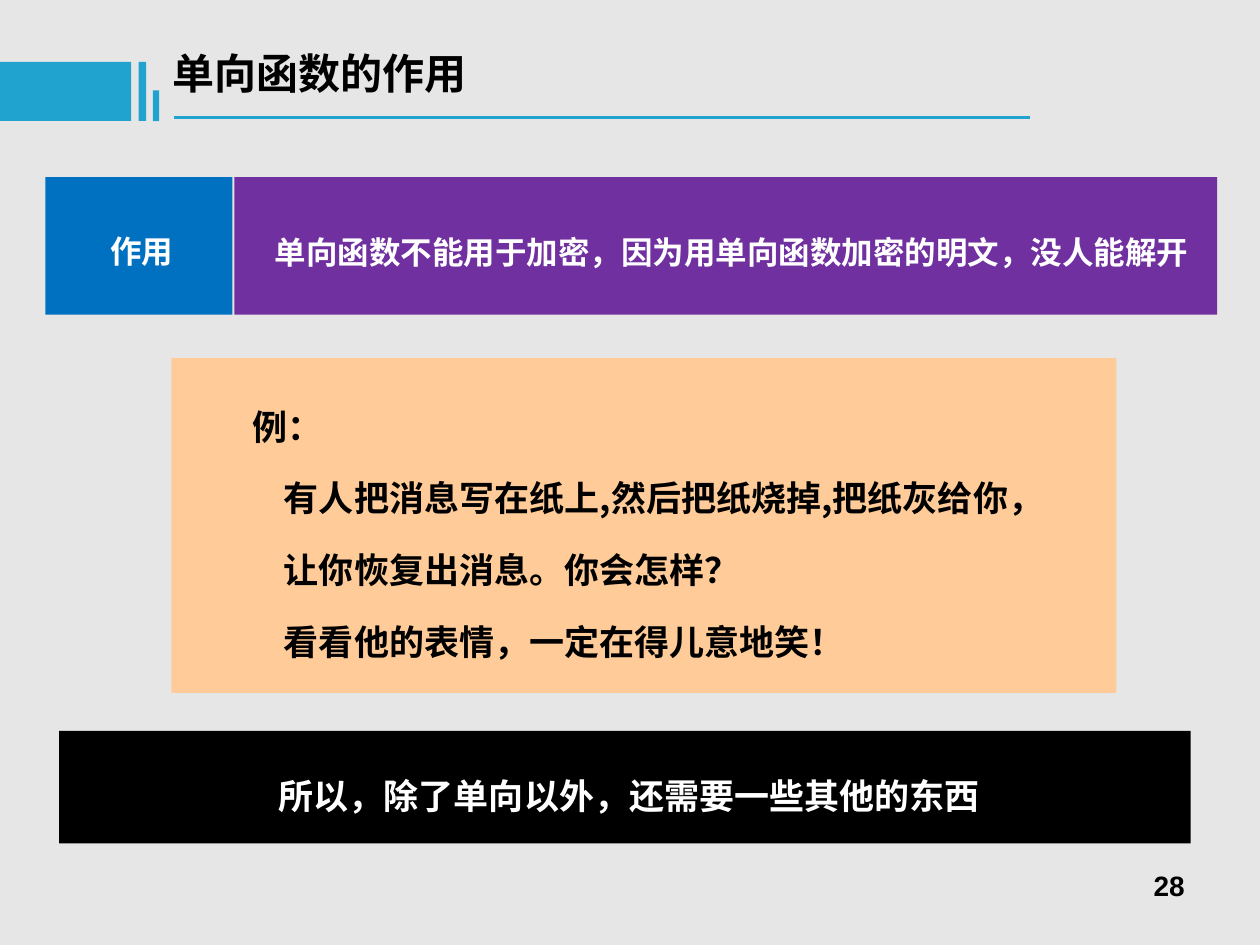
from lxml import etree
from pptx import Presentation
from pptx.dml.color import RGBColor
from pptx.enum.shapes import MSO_CONNECTOR, MSO_SHAPE
from pptx.enum.text import PP_ALIGN
from pptx.oxml.ns import qn
from pptx.util import Pt

RECT = MSO_SHAPE.RECTANGLE
STRAIGHT = MSO_CONNECTOR.STRAIGHT
LEFT, CENTER, RIGHT = PP_ALIGN.LEFT, PP_ALIGN.CENTER, PP_ALIGN.RIGHT

COLORS = {
    "background": "E7E6E6", "accent": "21A3D0", "purple": "7030A0",
    "blue": "0070C0", "peach": "FFCC99", "black": "000000", "white": "FFFFFF",
}
CJK = "Noto Sans CJK SC"
EXAMPLE_INDENT = 18

# left, top, width, height, colour
BLOCKS = [
    (0, 35.4, 75, 33.8, "accent"),
    (79.3, 35.4, 4.2, 33.8, "accent"),
    (87.3, 51.6, 3.7, 17.6, "accent"),
    (133.9, 101.2, 561.6, 78.6, "purple"),
    (26, 101.2, 106.8, 78.6, "blue"),
    (98, 204.7, 540, 191.3, "peach"),
    (33.8, 417.7, 646.6, 64.2, "black"),
]
TITLE_RULE = (99.3, 67, 588.8, 67)

# box, lines, format
TEXTS = [
    ((91.3, 23.8, 410.4, 36), ["单向函数的作用"], {"size": 24, "spacing": 1}),
    ((149.8, 118.8, 551.5, 39.6),
     ["单向函数不能用于加密，因为用单向函数加密的明文，没人能解开"],
     {"size": 18, "color": "white"}),
    ((56, 118.1, 61.2, 39.6), ["作用"], {"size": 18, "color": "white"}),
    ((137.2, 216, 489.6, 166.3),
     ["例：",
      "有人把消息写在纸上,然后把纸烧掉,把纸灰给你，",
      "让你恢复出消息。你会怎样？",
      "看看他的表情，一定在得儿意地笑！"],
     {"size": 20, "indent": EXAMPLE_INDENT}),
    ((67.7, 427, 583.9, 43.2), ["所以，除了单向以外，还需要一些其他的东西"],
     {"size": 20, "color": "white", "align": CENTER}),
    ((516.2, 492.5, 167.8, 37.4), ["28"],
     {"size": 16, "font": "Arial", "align": RIGHT, "spacing": 1}),
]


def rgb(name):
    return RGBColor.from_string(COLORS[name])


def add_block(slide, left, top, width, height, color):
    s = slide.shapes.add_shape(RECT, Pt(left), Pt(top), Pt(width), Pt(height))
    s.shadow.inherit = False
    s.fill.solid()
    s.fill.fore_color.rgb = rgb(color)
    s.line.fill.background()


def add_rule(slide, ends):
    s = slide.shapes.add_connector(STRAIGHT, *map(Pt, ends))
    s.line.color.rgb = rgb("accent")
    s.line.width = Pt(1.5)
    etree.SubElement(s._element.spPr, qn("a:effectLst"))


def add_text(slide, box, lines, size, color="black", font=CJK, align=LEFT,
             spacing=1.5, indent=0):
    """Add a bold text box; lines after the first are indented and set apart."""
    tf = slide.shapes.add_textbox(*map(Pt, box)).text_frame
    margins = {"margin_left": 7.2, "margin_right": 7.2,
               "margin_top": 3.6, "margin_bottom": 3.6}
    for name, value in margins.items():
        setattr(tf, name, Pt(value))
    tf.word_wrap = True
    for i, line in enumerate(lines):
        p = tf.paragraphs[0] if i == 0 else tf.add_paragraph()
        p.alignment = align
        p.line_spacing = spacing
        if i:
            p.space_before = Pt(5)
            p._p.get_or_add_pPr().set("marL", str(Pt(indent)))
        r = p.add_run()
        r.text = line
        for name, value in {"size": Pt(size), "bold": True, "name": font}.items():
            setattr(r.font, name, value)
        r.font.color.rgb = rgb(color)
        etree.SubElement(r._r.get_or_add_rPr(), qn("a:ea"), typeface=font)


def main():
    prs = Presentation()
    prs.slide_width, prs.slide_height = Pt(720), Pt(540)
    slide = prs.slides.add_slide(prs.slide_layouts[6])
    slide.background.fill.solid()
    slide.background.fill.fore_color.rgb = rgb("background")
    for block in BLOCKS:
        add_block(slide, *block)
    add_rule(slide, TITLE_RULE)
    for box, lines, style in TEXTS:
        add_text(slide, box, lines, **style)
    prs.save("out.pptx")


if __name__ == "__main__":
    main()
